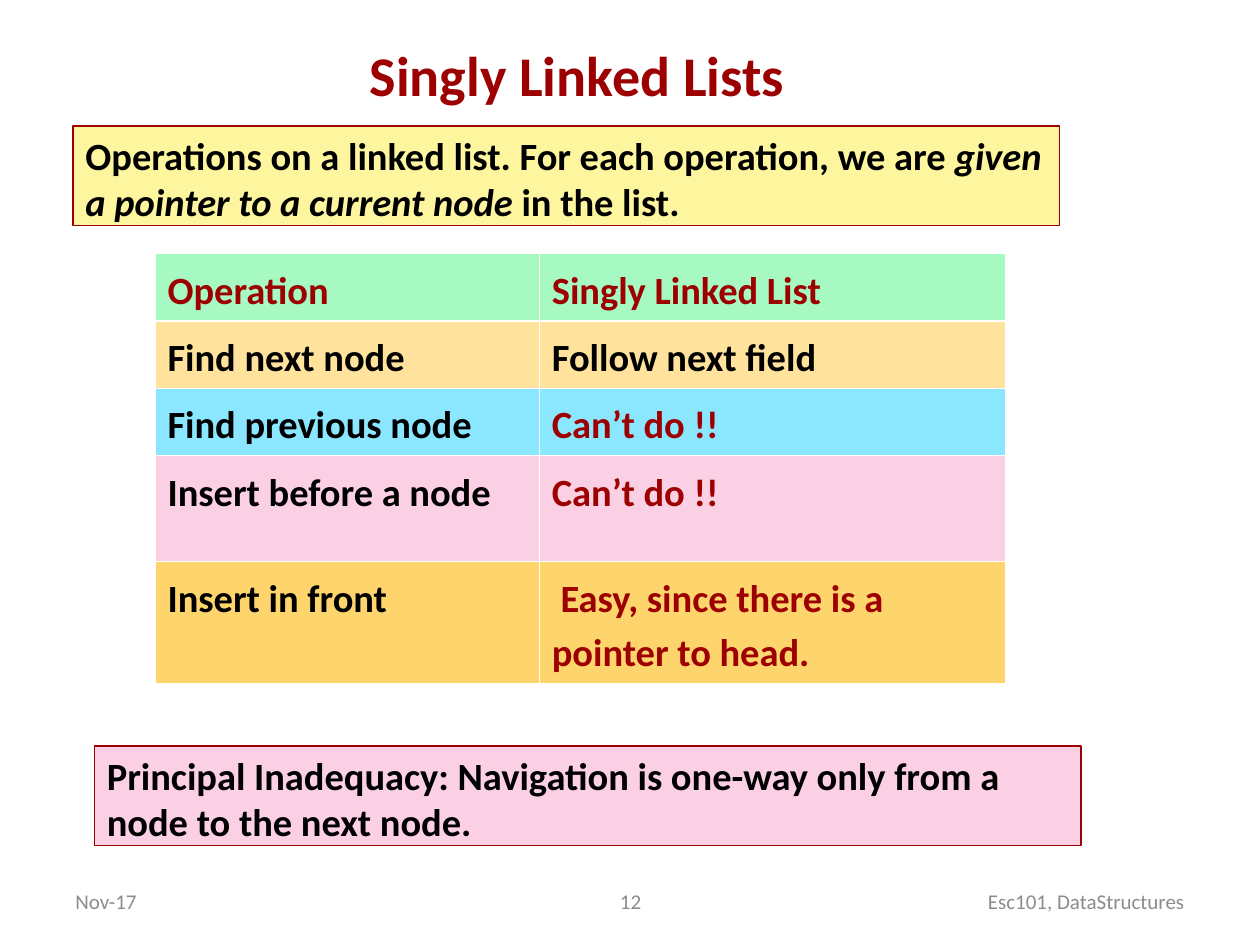
from lxml import etree
from pptx import Presentation
from pptx.dml.color import RGBColor
from pptx.enum.shapes import MSO_SHAPE
from pptx.enum.text import MSO_ANCHOR, MSO_AUTO_SIZE, PP_ALIGN
from pptx.oxml.ns import qn
from pptx.util import Inches, Pt

LEFT, CENTER, RIGHT = PP_ALIGN.LEFT, PP_ALIGN.CENTER, PP_ALIGN.RIGHT
TOP, MIDDLE = MSO_ANCHOR.TOP, MSO_ANCHOR.MIDDLE
RECTANGLE = MSO_SHAPE.RECTANGLE
NO_AUTOFIT = MSO_AUTO_SIZE.NONE
TITLE_ONLY = 5

DARK_RED, BLACK, GREY, WHITE = "9D0000", "000000", "8C8C8C", "FFFFFF"
PINK, YELLOW = "FBD0E4", "FDF69F"

TITLE_FONT = {"name": "Calibri", "size": Pt(32), "bold": True}
BODY_FONT = {"name": "Calibri", "size": Pt(22), "bold": True}
FOOTER_FONT = {"name": "Calibri", "size": Pt(12), "bold": False}

COLUMN_WIDTHS = [3.05, 3.7]
# Height, fill, then text and colour of each cell
OPERATION_ROWS = [
    (0.47, "A5F9C1", [("Operation", DARK_RED), ("Singly Linked List", DARK_RED)]),
    (0.47, "FFE39D", [("Find next node", BLACK), ("Follow next field", BLACK)]),
    (0.47, "8BE6FF", [("Find previous node", BLACK), ("Can’t do !!", DARK_RED)]),
    (0.84, PINK, [("Insert before a node", BLACK), ("Can’t do !!", DARK_RED)]),
    (0.84, "FED46C", [("Insert in front", BLACK),
                      (" Easy, since there is a pointer to head.", DARK_RED)]),
]
THIN_BORDER, HEADER_BORDER = 0.45, 1.47


def color(value):
    return RGBColor.from_string(value)


def set_fill(item, value):
    item.fill.solid()
    item.fill.fore_color.rgb = color(value)


def add_run(paragraph, text, font_format, font_color, italic=False):
    run = paragraph.add_run()
    run.text = text
    for name, value in {**font_format, "italic": italic}.items():
        setattr(run.font, name, value)
    run.font.color.rgb = color(font_color)


def set_frame(text_frame, anchor, alignment):
    """Prepare a text frame and return its first paragraph."""
    frame_format = {"auto_size": NO_AUTOFIT, "word_wrap": True, "vertical_anchor": anchor}
    for name, value in frame_format.items():
        setattr(text_frame, name, value)
    paragraph = text_frame.paragraphs[0]
    paragraph.alignment = alignment
    return paragraph


def set_title(slide, text):
    title = slide.shapes.title
    title.left, title.top = Inches(2.08), Inches(0.27)
    title.width, title.height = Inches(5), Inches(0.63)
    paragraph = set_frame(title.text_frame, MIDDLE, CENTER)
    add_run(paragraph, text, TITLE_FONT, DARK_RED)


def add_note_box(slide, left, top, fill, runs):
    """Add a framed box; runs are pairs of text and italic."""
    box = slide.shapes.add_shape(
        RECTANGLE, Inches(left), Inches(top), Inches(7.83), Inches(0.79))
    box.shadow.inherit = False
    set_fill(box, fill)
    box.line.color.rgb = color(DARK_RED)
    box.line.width = Pt(0.75)
    paragraph = set_frame(box.text_frame, TOP, LEFT)
    for text, italic in runs:
        add_run(paragraph, text, BODY_FONT, BLACK, italic)


def add_footer(slide, left, width, text, alignment):
    box = slide.shapes.add_textbox(
        Inches(left), Inches(6.95), Inches(width), Inches(0.4))
    paragraph = set_frame(box.text_frame, MIDDLE, alignment)
    add_run(paragraph, text, FOOTER_FONT, GREY)


def set_borders(cell, top, bottom):
    """Draw white cell borders; they must precede the fill in the XML."""
    properties = cell._tc.get_or_add_tcPr()
    widths = {"a:lnL": THIN_BORDER, "a:lnR": THIN_BORDER, "a:lnT": top, "a:lnB": bottom}
    for index, (tag, width) in enumerate(widths.items()):
        line = etree.Element(qn(tag), w=str(Pt(width)))
        solid = etree.SubElement(line, qn("a:solidFill"))
        etree.SubElement(solid, qn("a:srgbClr"), val=WHITE)
        properties.insert(index, line)


def add_operations_table(slide):
    heights = [height for height, _, _ in OPERATION_ROWS]
    table = slide.shapes.add_table(
        len(OPERATION_ROWS), len(COLUMN_WIDTHS), Inches(1.23), Inches(2.01),
        Inches(sum(COLUMN_WIDTHS)), Inches(sum(heights))).table
    for column, width in zip(table.columns, COLUMN_WIDTHS):
        column.width = Inches(width)
    for row_index, (height, fill, entries) in enumerate(OPERATION_ROWS):
        row = table.rows[row_index]
        row.height = Inches(height)
        top = HEADER_BORDER if row_index == 1 else THIN_BORDER
        bottom = HEADER_BORDER if row_index == 0 else THIN_BORDER
        for cell, (text, font_color) in zip(row.cells, entries):
            set_fill(cell, fill)
            set_borders(cell, top, bottom)
            paragraph = cell.text_frame.paragraphs[0]
            paragraph.line_spacing = 1.17
            add_run(paragraph, text, BODY_FONT, font_color)


def main():
    presentation = Presentation()
    presentation.slide_width, presentation.slide_height = Inches(10), Inches(7.5)
    slide = presentation.slides.add_slide(presentation.slide_layouts[TITLE_ONLY])
    set_title(slide, "Singly Linked Lists")
    add_operations_table(slide)
    add_note_box(slide, 0.58, 1, YELLOW, [
        ("Operations on a linked list. For each operation, we are ", False),
        ("given a pointer to a current node ", True),
        ("in the list.", False),
    ])
    add_note_box(slide, 0.75, 5.92, PINK, [
        ("Principal Inadequacy: Navigation is one-way only from a node "
         "to the next node.", False),
    ])
    add_footer(slide, 0.5, 2.33, "Nov-17", LEFT)
    add_footer(slide, 7.17, 2.33, "Esc101, DataStructures", RIGHT)
    add_footer(slide, 3.42, 3.17, "12", CENTER)
    presentation.save("out.pptx")


if __name__ == "__main__":
    main()
